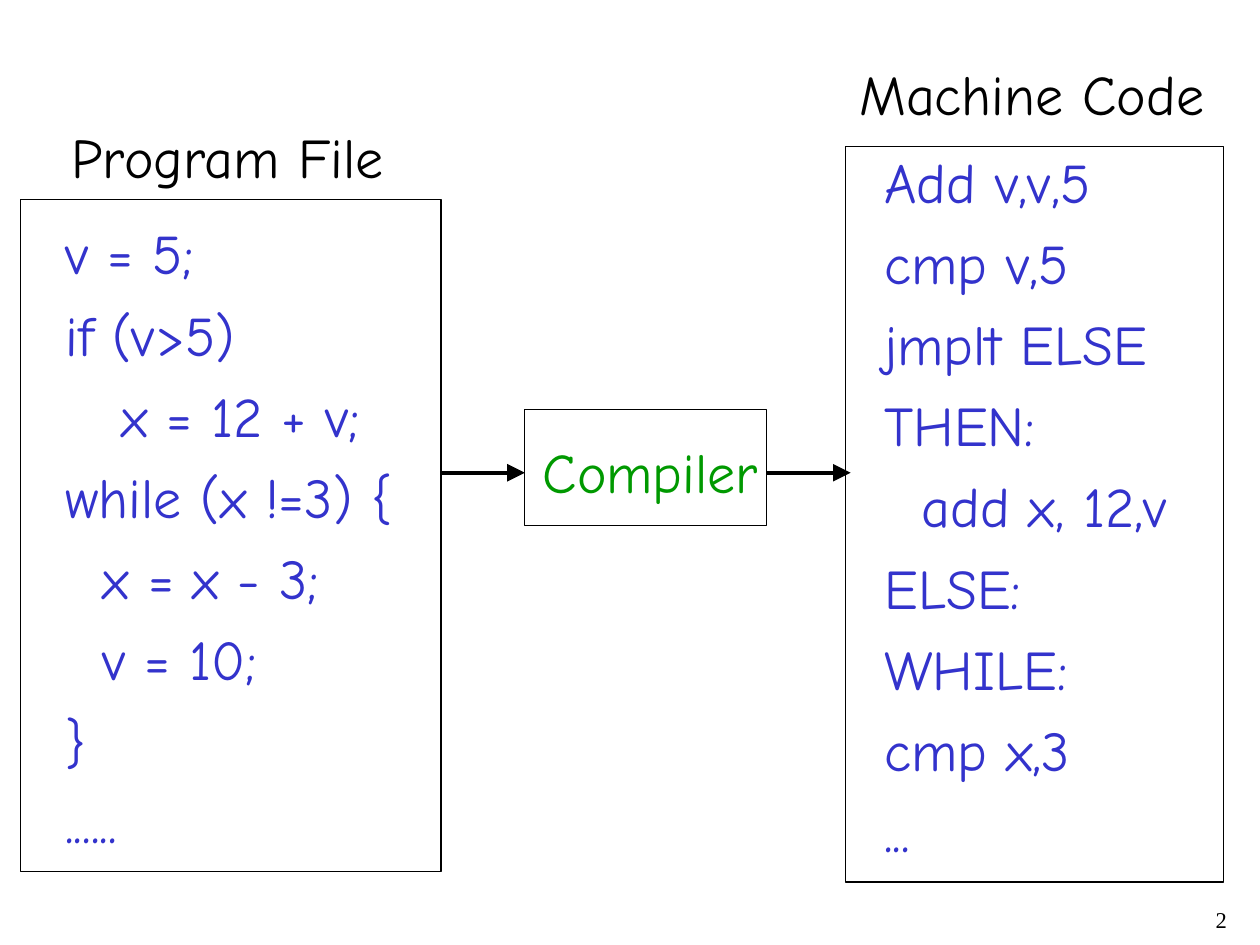
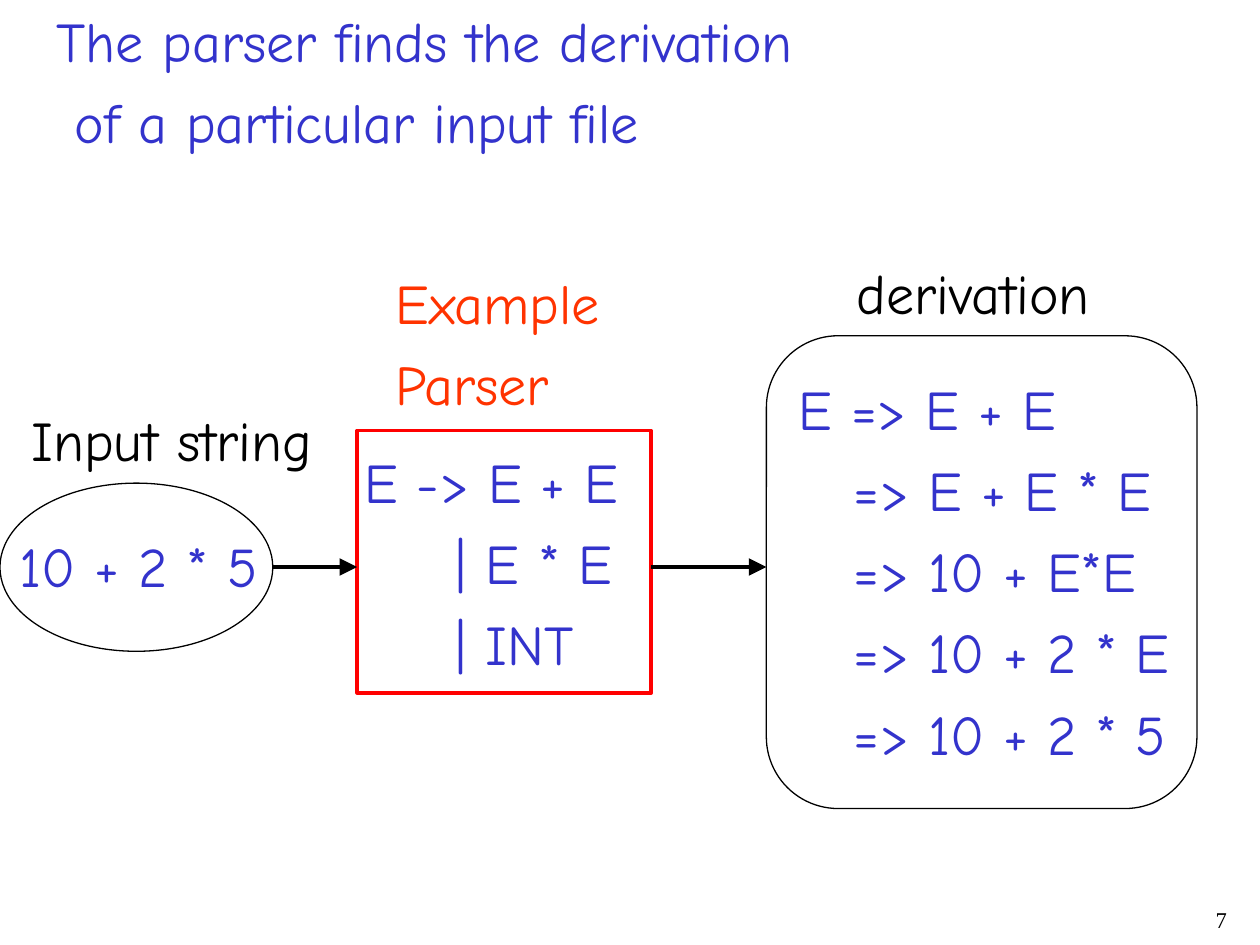
from dataclasses import dataclass

from lxml.etree import SubElement
from pptx import Presentation
from pptx.dml.color import RGBColor
from pptx.enum.shapes import MSO_CONNECTOR, MSO_SHAPE
from pptx.enum.text import MSO_AUTO_SIZE, PP_ALIGN
from pptx.oxml.ns import qn
from pptx.util import Cm, Pt


@dataclass(frozen=True)
class Theme:
    black: RGBColor = RGBColor.from_string("000000")
    blue: RGBColor = RGBColor.from_string("3333CC")
    green: RGBColor = RGBColor.from_string("009900")
    orange: RGBColor = RGBColor.from_string("FF3300")
    red: RGBColor = RGBColor.from_string("FF0000")
    face: str = "Comic Neue"
    foot: str = "Times New Roman"
    size: float = 32
    small: float = 12.9
    gap: float = 8
    thin: float = 0.75
    thick: float = 2
    step: float = 1.64  # height of a line with its gap, cm
    space: float = 0.37  # width of one indent step, cm


THEME = Theme()


@dataclass(frozen=True)
class Box:
    left: float
    top: float
    width: float
    height: float

    @property
    def right(self):
        return self.left + self.width

    def lengths(self):
        return [Cm(n) for n in (self.left, self.top, self.width, self.height)]


def style(target, **values):
    for name, value in values.items():
        setattr(target, name, value)


def write(slide, box, spot, lines, tint, wrap=False, indents=()):
    """Set lines at spot (left, top, width), counted from the corner of box."""
    left, top, width = spot
    area = Box(box.left + left, box.top + top, width, THEME.step * len(lines))
    frame = slide.shapes.add_textbox(*area.lengths()).text_frame
    style(frame, word_wrap=wrap, auto_size=MSO_AUTO_SIZE.SHAPE_TO_FIT_TEXT)
    frame.text = "\n".join(lines)
    for row, para in enumerate(frame.paragraphs):
        if row:
            para.space_before = Pt(THEME.gap)
        if row < len(indents) and indents[row]:
            para._p.get_or_add_pPr().set("marL", str(Cm(THEME.space * indents[row])))
        style(para.font, name=THEME.face, size=Pt(THEME.size))
        para.font.color.rgb = tint


def frame_box(slide, box, kind=MSO_SHAPE.RECTANGLE, tint=THEME.black, width=THEME.thin):
    shape = slide.shapes.add_shape(kind, *box.lengths())
    shape.shadow.inherit = False
    shape.fill.background()
    shape.line.color.rgb = tint
    shape.line.width = Pt(width)


def link(slide, start, end, level):
    arrow = slide.shapes.add_connector(
        MSO_CONNECTOR.STRAIGHT, Cm(start), Cm(level), Cm(end), Cm(level))
    arrow.line.color.rgb = THEME.black
    arrow.line.width = Pt(THEME.thick)
    SubElement(arrow.line._get_or_add_ln(), qn("a:tailEnd"),
               type="triangle", w="lg", len="lg")
    SubElement(arrow._element.spPr, qn("a:effectLst"))


def number(slide, box, text):
    frame = slide.shapes.add_textbox(*box.lengths()).text_frame
    frame.word_wrap = True
    para = frame.paragraphs[0]
    para.text = text
    style(para, alignment=PP_ALIGN.RIGHT, line_spacing=0.9)
    style(para.font, name=THEME.foot, size=Pt(THEME.small))
    para.font.color.rgb = THEME.black


def source_code(slide, box):
    frame_box(slide, box)
    write(slide, box, (0.77, -1.68, 6.86), ["Program File"], THEME.black)
    write(slide, box, (0.65, 0.27, 7.4), [
        "v = 5;",
        "if (v>5)",
        "   x = 12 + v;",
        "while (x !=3) {",
        "  x = x - 3;",
        "  v = 10;",
        "}",
        "......",
    ], THEME.blue, wrap=True)


def compiler(slide, box):
    frame_box(slide, box)
    write(slide, box, (0.11, 0.43, 4.85), ["Compiler"], THEME.green)


def machine_code(slide, box):
    frame_box(slide, box)
    write(slide, box, (0.54, -0.12, 6.81), [
        "Add v,v,5",
        "cmp v,5",
        "jmplt ELSE",
        "THEN:",
        "  add x, 12,v",
        "ELSE:",
        "WHILE:",
        "cmp x,3",
        "...",
    ], THEME.blue, wrap=True)
    write(slide, box, (0.03, -1.89, 7.47), ["Machine Code"], THEME.black)


def input_string(slide, box):
    frame_box(slide, box, MSO_SHAPE.OVAL)
    write(slide, box, (0.15, 0.85, 5.31), ["10 + 2 * 5"], THEME.blue)
    write(slide, box, (0.38, -1.69, 6.17), ["Input string"], THEME.black)


def parser(slide, box):
    frame_box(slide, box, tint=THEME.red, width=THEME.thick)
    write(slide, box, (0.52, -3.4, 5.03), ["Example", "Parser"], THEME.orange)
    write(slide, box, (-0.11, 0.21, 5.99), ["E -> E + E", "| E * E", "| INT"],
          THEME.blue, indents=(0, 5, 5))


def derived(slide, box):
    frame_box(slide, box, MSO_SHAPE.ROUNDED_RECTANGLE)
    steps = ["E + E", "E + E * E", "10 + E*E", "10 + 2 * E", "10 + 2 * 5"]
    lines = [f"=> {step}" for step in steps]
    lines[0] = f"E {lines[0]}"
    write(slide, box, (0.4, 0.65, 8.2), lines, THEME.blue, wrap=True,
          indents=(0, 3, 3, 3, 3))
    write(slide, box, (1.57, -1.69, 5.23), ["derivation"], THEME.black)


def flow(slide, parts, level, over=0):
    """Draw the parts and join neighbours; the last arrow runs over by a little."""
    for draw, box in parts:
        draw(slide, box)
    first, middle, last = (box for _, box in parts)
    link(slide, first.right, middle.left, level)
    link(slide, middle.right, last.left + over, level)


def compile_slide(slide):
    flow(slide, [
        (source_code, Box(0.42, 4.02, 8.47, 13.55)),
        (compiler, Box(10.58, 8.26, 4.87, 2.33)),
        (machine_code, Box(17.04, 2.96, 7.62, 14.82)),
    ], level=9.53, over=0.11)


def parse_slide(slide):
    write(slide, Box(0, 0, 25.4, 19.05), (0.89, 0, 15.39),
          ["The parser finds the derivation", "of a particular input file"],
          THEME.blue, indents=(0, 1))
    flow(slide, [
        (input_string, Box(0, 9.74, 5.5, 3.39)),
        (parser, Box(7.2, 8.68, 5.93, 5.29)),
        (derived, Box(15.45, 6.77, 8.68, 9.53)),
    ], level=11.43)


def main():
    deck = Presentation()
    style(deck, slide_width=Cm(25.4), slide_height=Cm(19.05))
    for draw, page in ((compile_slide, "2"), (parse_slide, "7")):
        slide = deck.slides.add_slide(deck.slide_layouts[6])
        number(slide, Box(19.69, 18.2, 5.29, 0.85), page)
        draw(slide)
    deck.save("out.pptx")


if __name__ == "__main__":
    main()
